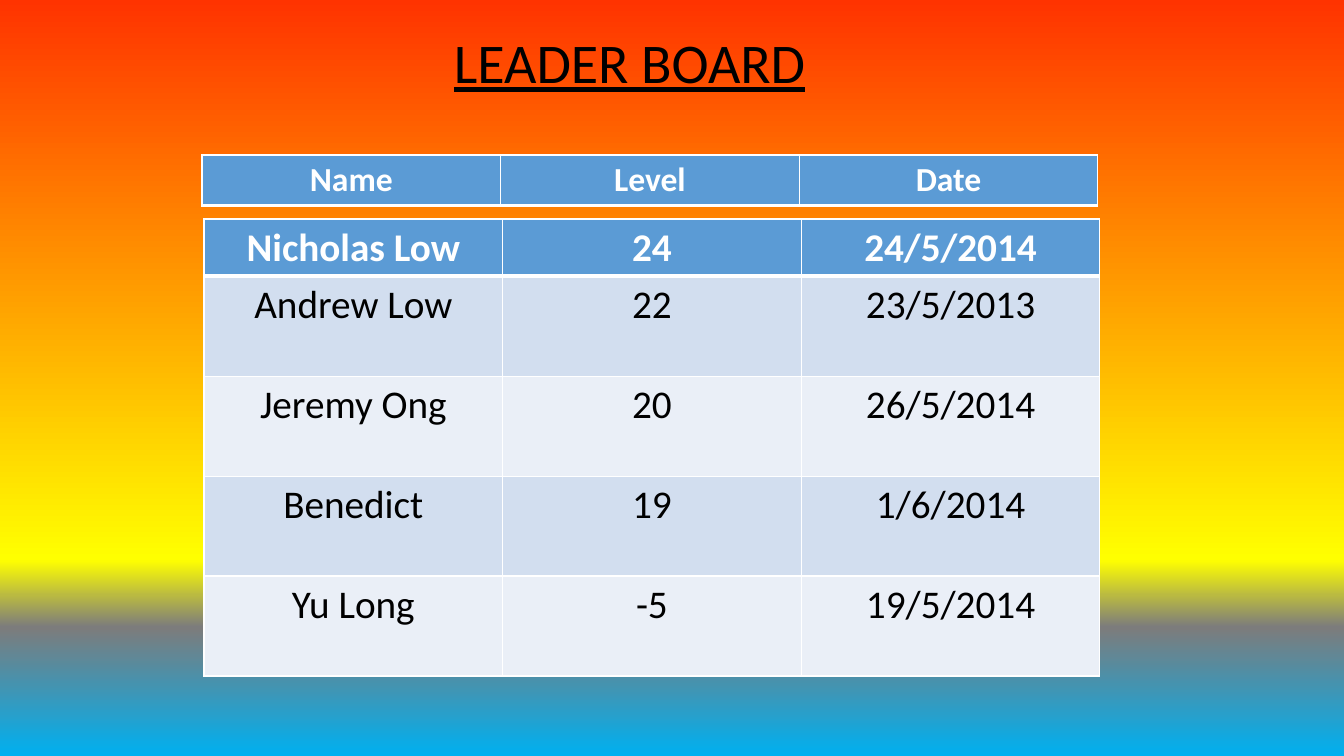
from lxml.etree import SubElement
from pptx import Presentation
from pptx.dml.color import RGBColor
from pptx.enum.text import PP_ALIGN
from pptx.oxml.ns import qn
from pptx.util import Emu, Pt

SCALE = 914400 / 100.8
FONT = "Calibri"
COLORS = {
    "red": "FF3300", "yellow": "FFFF00", "gray": "7C7C7C", "sky": "00B0F0",
    "black": "000000", "white": "FFFFFF",
    "header": "5B9BD5", "odd": "D2DEEF", "even": "EAEFF7",
}
GRADIENT = [(0, "red"), (74, "yellow"), (83, "gray"), (100, "sky")]
HEADINGS = [("Name", "Level", "Date")]
SCORES = [
    ("Nicholas Low", "24", "24/5/2014"),
    ("Andrew Low", "22", "23/5/2013"),
    ("Jeremy Ong", "20", "26/5/2014"),
    ("Benedict", "19", "1/6/2014"),
    ("Yu Long", "-5", "19/5/2014"),
]


def px(value):
    return Emu(round(value * SCALE))


def color(name):
    return RGBColor.from_string(COLORS[name])


def style_text(paragraph, size, color_name, bold=False, underline=False):
    for run in paragraph.runs:
        run.font.name = FONT
        run.font.size = Pt(size)
        run.font.bold = bold
        run.font.underline = underline
        run.font.color.rgb = color(color_name)


def paint_background(slide):
    fill = slide.background.fill
    fill.gradient()
    fill.gradient_angle = 270
    stops = slide.background._cSld.find(".//" + qn("a:gsLst"))
    stops.clear()
    for position, name in GRADIENT:
        stop = SubElement(stops, qn("a:gs"), pos=str(position * 1000))
        SubElement(stop, qn("a:srgbClr"), val=COLORS[name])


def add_title(slide, box, text):
    shape = slide.shapes.add_textbox(*map(px, box))
    shape.text_frame.word_wrap = True
    shape.text_frame.text = text
    style_text(shape.text_frame.paragraphs[0], 40, "black", underline=True)


def set_borders(cell, widths):
    properties = cell._tc.get_or_add_tcPr()
    for side, width in widths.items():
        line = SubElement(properties, qn("a:ln" + side), w=str(Pt(width)))
        fill = SubElement(line, qn("a:solidFill"))
        SubElement(fill, qn("a:srgbClr"), val=COLORS["white"])


def add_score_table(slide, box, rows, header_height, size):
    left, top, width, height = box
    frame = slide.shapes.add_table(len(rows), len(rows[0]), *map(px, box))
    table = frame.table
    for column in table.columns:
        column.width = px(width / len(rows[0]))
    for index, values in enumerate(rows):
        is_header = index == 0
        body_height = (height - header_height) / max(len(rows) - 1, 1)
        table.rows[index].height = px(header_height if is_header else body_height)
        fill_name = "header" if is_header else ("odd" if index % 2 else "even")
        borders = {"L": 1, "R": 1, "T": 3 if index == 1 else 1, "B": 3 if is_header else 1}
        for cell, value in zip(table.rows[index].cells, values):
            set_borders(cell, borders)
            cell.fill.solid()
            cell.fill.fore_color.rgb = color(fill_name)
            cell.text_frame.text = value
            paragraph = cell.text_frame.paragraphs[0]
            paragraph.alignment = PP_ALIGN.CENTER
            style_text(paragraph, size, "white" if is_header else "black", bold=is_header)


def build_leader_board(presentation):
    slide = presentation.slides.add_slide(presentation.slide_layouts[6])
    paint_background(slide)
    add_title(slide, (444, 23, 455, 78), "LEADER BOARD")
    add_score_table(slide, (204, 219, 896, 456), SCORES, 56, 28)
    add_score_table(slide, (202, 155, 896, 50), HEADINGS, 50, 24)


presentation = Presentation()
presentation.slide_width = px(1344)
presentation.slide_height = px(756)
build_leader_board(presentation)
presentation.save("out.pptx")
